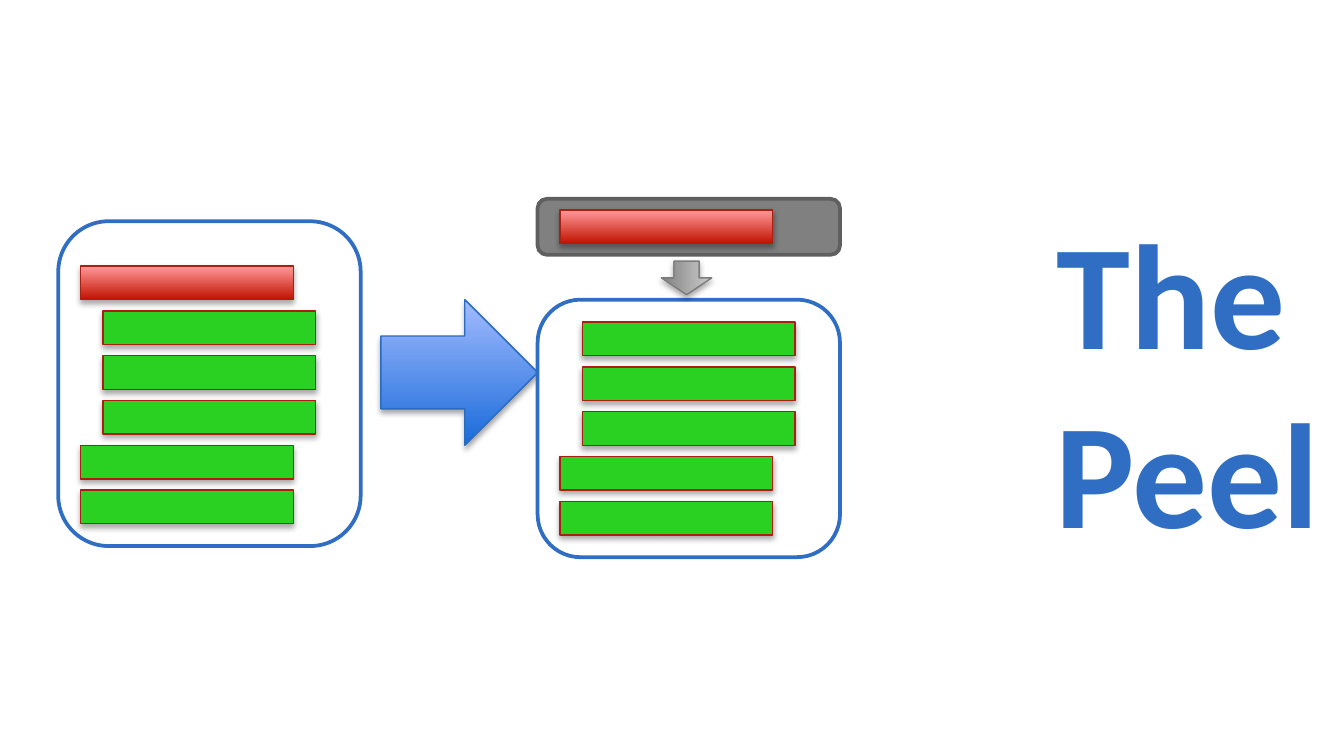
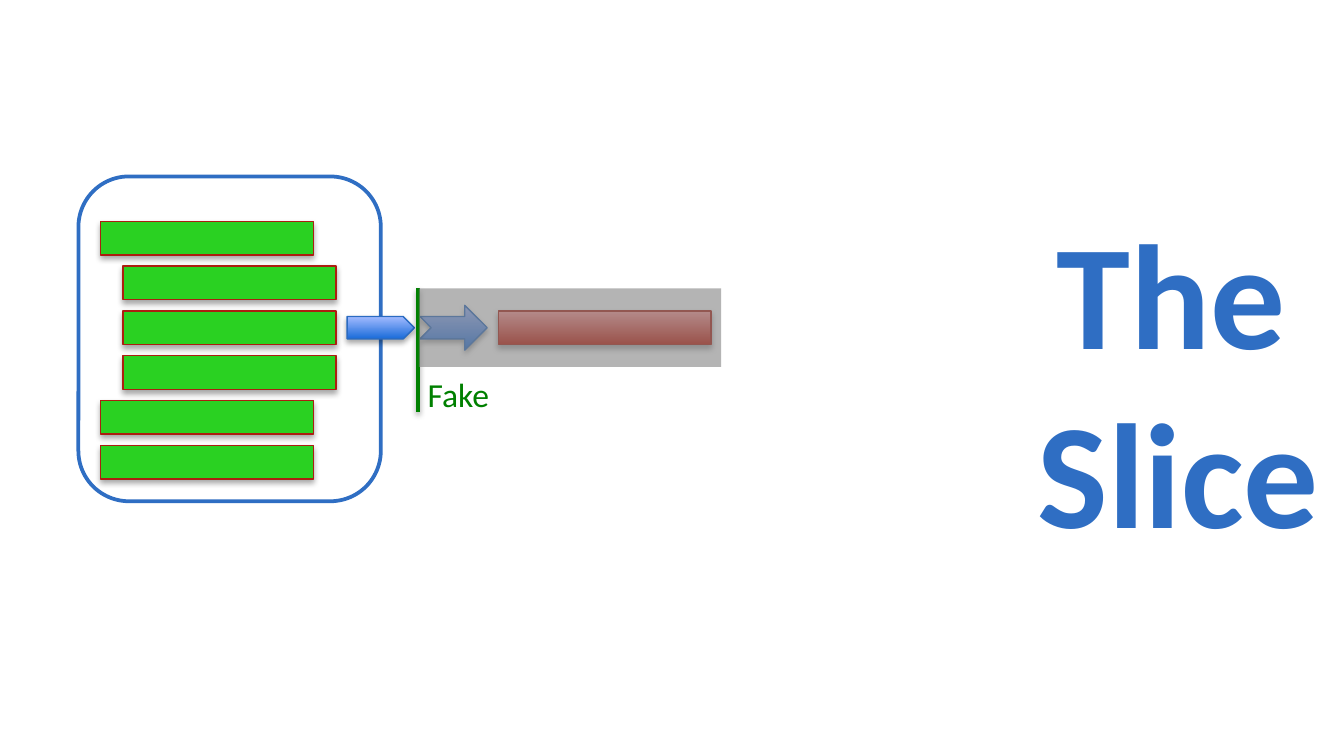
import pptx
import pptx.util
import pptx.dml.color
import pptx.enum.shapes
import pptx.enum.text
import pptx.oxml
import pptx.oxml.ns

SHAPE = pptx.enum.shapes.MSO_SHAPE
ALIGN = pptx.enum.text.PP_ALIGN
ANCHOR = pptx.enum.text.MSO_ANCHOR
FIT = pptx.enum.text.MSO_AUTO_SIZE

CELL = 1 / 6          # grid step in inches, for columns and rows
TOP = -0.02           # where row 0 starts
BAR = (9.5, 1.5)
BOX_WIDTH = 13.5
BAR_STEP = 2

WHITE, GREY, GREEN_LINE, BLUE = "FFFFFF", "808080", "008000", "2F6EC3"
# Each look: fill (one colour, or bottom and top of a gradient), line, line width, shadow
LOOKS = {
    "box": (WHITE, BLUE, 2, False),
    "tab": (GREY, "5F5F5F", 2, False),
    "green": ("2AD122", "AC1E10", 0.75, True),
    "red": (("C01200", "FF9A99"), "AC1E10", 0.75, True),
    "blue": (("196BD9", "A3BBFF"), "2A6BC2", 0.75, True),
    "grey": ((GREY, "CDCDCD"), "7D7D7D", 0.75, True),
    "veil": (GREY, None, 0, False),
}
TITLE_FONT = {"name": "Calibri", "size": pptx.util.Pt(80), "bold": True}
LABEL_FONT = {"name": "Calibri", "size": pptx.util.Pt(18), "bold": False}
TITLE_FRAME = {"word_wrap": True, "auto_size": FIT.NONE, "vertical_anchor": ANCHOR.MIDDLE}
LABEL_FRAME = {"word_wrap": False, "auto_size": FIT.SHAPE_TO_FIT_TEXT}


def colour(value):
    return pptx.dml.color.RGBColor.from_string(value)


def set_format(target, values):
    for name, value in values.items():
        setattr(target, name, value)


class Sketch:
    def __init__(self):
        self.deck = pptx.Presentation()
        self.deck.slide_width = pptx.util.Inches(10)
        self.deck.slide_height = pptx.util.Inches(5.625)
        self.page = None

    def place(self, col, row, cols, rows):
        inches = (col * CELL, TOP + row * CELL, cols * CELL, rows * CELL)
        return [pptx.util.Inches(value) for value in inches]

    def add_span(self, para, text, font, ink):
        span = para.add_run()
        span.text = text
        set_format(span.font, font)
        span.font.color.rgb = colour(ink)

    def new_page(self, *words):
        """Add a slide with its large right-hand title, one paragraph a word."""
        self.page = self.deck.slides.add_slide(self.deck.slide_layouts[5])
        title = self.page.shapes.title
        place = self.place(29, 5.15, 30.5, 23.8)
        set_format(title, dict(zip(("left", "top", "width", "height"), place)))
        frame = title.text_frame
        set_format(frame, TITLE_FRAME)
        for index, word in enumerate(words):
            para = frame.add_paragraph() if index else frame.paragraphs[0]
            para.alignment = ALIGN.RIGHT
            self.add_span(para, word, TITLE_FONT, BLUE)

    def cast_shadow(self, item, alpha, distance):
        properties = item._element.spPr
        effects = properties.find(pptx.oxml.ns.qn("a:effectLst"))
        if effects is not None:
            properties.remove(effects)
        properties.append(pptx.oxml.parse_xml(
            f'<a:effectLst {pptx.oxml.ns.nsdecls("a")}>'
            f'<a:outerShdw blurRad="{pptx.util.Pt(3.1)}" dist="{pptx.util.Pt(distance)}" '
            f'dir="5400000" rotWithShape="0"><a:srgbClr val="000000">'
            f'<a:alpha val="{alpha * 1000}"/></a:srgbClr></a:outerShdw></a:effectLst>'))

    def shape(self, kind, look, col, row, cols, rows, alpha=None):
        fill, line, width, shadow = LOOKS[look]
        item = self.page.shapes.add_shape(kind, *self.place(col, row, cols, rows))
        item.shadow.inherit = False
        if isinstance(fill, tuple):
            item.fill.gradient()
            item.fill.gradient_angle = 90
            for stop, value in zip(item.fill.gradient_stops, fill):
                stop.color.rgb = colour(value)
        else:
            item.fill.solid()
            item.fill.fore_color.rgb = colour(fill)
        if line:
            item.line.color.rgb = colour(line)
            item.line.width = pptx.util.Pt(width)
        else:
            item.line.fill.background()
        if shadow:
            self.cast_shadow(item, 35, 1.8)
        if alpha:
            tone = item._element.spPr.find(".//" + pptx.oxml.ns.qn("a:srgbClr"))
            tone.append(pptx.oxml.parse_xml(
                f'<a:alpha {pptx.oxml.ns.nsdecls("a")} val="{alpha * 1000}"/>'))
        return item

    def box(self, look, col, row, rows):
        self.shape(SHAPE.ROUNDED_RECTANGLE, look, col, row, BOX_WIDTH, rows)

    def bar(self, look, col, row):
        self.shape(SHAPE.RECTANGLE, look, col, row, *BAR)

    def bars(self, col, row, looks, indents):
        """Stack bars downwards, each shifted by its indent in columns."""
        for index, (look, indent) in enumerate(zip(looks, indents)):
            self.bar(look, col + indent, row + index * BAR_STEP)

    def rule(self, col, row, end_row, ink):
        left, top, _, height = self.place(col, row, 0, end_row - row)
        line = self.page.shapes.add_connector(
            pptx.enum.shapes.MSO_CONNECTOR.STRAIGHT, left, top, left, top + height)
        line.line.color.rgb = colour(ink)
        line.line.width = pptx.util.Pt(2)
        self.cast_shadow(line, 38, 1.6)

    def label(self, text, col, row, cols, rows, ink):
        frame = self.page.shapes.add_textbox(*self.place(col, row, cols, rows)).text_frame
        set_format(frame, LABEL_FRAME)
        self.add_span(frame.paragraphs[0], text, LABEL_FONT, ink)


def main():
    sketch = Sketch()
    indents = (0, 1, 1, 1, 0, 0)

    # The Peel: the first bar moves out of the box
    sketch.new_page("The ", "Peel")
    sketch.box("box", 2.6, 10, 14.5)
    sketch.bars(3.6, 12, ["red"] + ["green"] * 5, indents)
    sketch.shape(SHAPE.RIGHT_ARROW, "blue", 17, 13.5, 7, 6.5)
    sketch.box("box", 24, 13.5, 11.5)
    sketch.bars(25, 14.5, ["green"] * 5, indents[1:])
    sketch.box("tab", 24, 9, 2.5)
    sketch.bar("red", 25, 9.5)
    drop = sketch.shape(SHAPE.RIGHT_ARROW, "grey", 29.9, 11.4, 1.5, 2.25)
    drop.rotation = 90

    # The Slice: a veiled bar behind a dividing rule
    sketch.new_page("The ", "Slice")
    sketch.box("box", 3.5, 8, 14.5)
    sketch.bars(4.5, 10, ["green"] * 6, indents)
    sketch.bar("red", 22.25, 14)
    sketch.shape(SHAPE.PENTAGON, "blue", 15.5, 14.25, 3, 1)
    sketch.shape(SHAPE.NOTCHED_RIGHT_ARROW, "blue", 18.75, 13.75, 3, 2)
    sketch.rule(18.65, 13, 18.5, GREEN_LINE)
    sketch.label("Fake", 18.5, 16.5, 4.1, 2.4, GREEN_LINE)
    sketch.shape(SHAPE.RECTANGLE, "veil", 18.7, 13, BOX_WIDTH, 3.5, alpha=59)

    sketch.deck.save("out.pptx")


if __name__ == "__main__":
    main()
